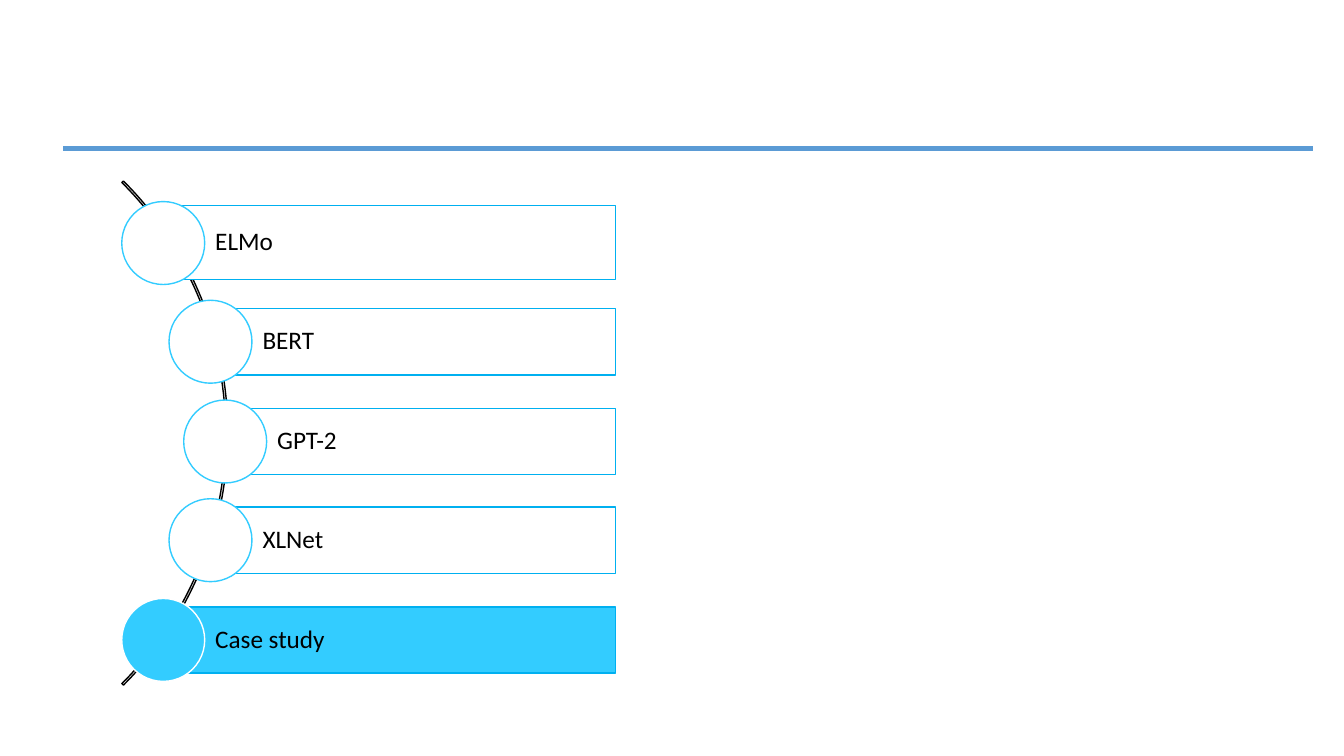
from dataclasses import dataclass
from typing import Optional

from pptx import Presentation
from pptx.dml.color import RGBColor
from pptx.enum.shapes import MSO_SHAPE
from pptx.enum.text import MSO_ANCHOR, PP_ALIGN
from pptx.shapes.autoshape import Shape
from pptx.shapes.shapetree import SlideShapes
from pptx.util import Pt

RECTANGLE = MSO_SHAPE.RECTANGLE
OVAL = MSO_SHAPE.OVAL
BLOCK_ARC = MSO_SHAPE.BLOCK_ARC
MIDDLE = MSO_ANCHOR.MIDDLE
LEFT = PP_ALIGN.LEFT

WHITE = RGBColor(0xFF, 0xFF, 0xFF)
BLACK = RGBColor(0x00, 0x00, 0x00)
RULE_BLUE = RGBColor(0x5B, 0x9B, 0xD5)
BAR_BLUE = RGBColor(0x00, 0xB0, 0xF0)
SKY = RGBColor(0x33, 0xCC, 0xFF)

EMU_PER_PX = 9525
SLIDE_WIDTH, SLIDE_HEIGHT = 1280, 720
BAR_RIGHT = 586
BULLET_SIZE = 79
FIRST_CENTER_Y = 231
FOUR_STEPS = 378
ARC_ADJUSTMENTS = (189, 27, 0.003)


@dataclass(frozen=True)
class Topic:
    title: str
    center_x: int
    bar_height: int = 63
    bar_fill: Optional[RGBColor] = None
    bullet_fill: RGBColor = WHITE
    bullet_line: RGBColor = SKY


TOPICS = (
    Topic("ELMo", 155, bar_height=70, bar_fill=WHITE),
    Topic("BERT", 200),
    Topic("GPT-2", 214),
    Topic("XLNet", 200),
    Topic("Case study", 155, bar_fill=SKY, bullet_fill=SKY, bullet_line=WHITE),
)


def px(length: int) -> int:
    return length * EMU_PER_PX


BAR_TEXT_FORMAT = {
    "word_wrap": True,
    "vertical_anchor": MIDDLE,
    "margin_left": px(50),
    "margin_top": px(5),
    "margin_right": px(5),
    "margin_bottom": px(5),
}
TITLE_FORMAT = {"name": "Calibri", "size": Pt(18)}


def add_outlined(shapes: SlideShapes, preset: MSO_SHAPE, left: int, top: int,
                 width: int, height: int, fill: Optional[RGBColor],
                 line: RGBColor) -> Shape:
    outlined = shapes.add_shape(preset, px(left), px(top), px(width), px(height))
    outlined.shadow.inherit = False
    if fill is None:
        outlined.fill.background()
    else:
        outlined.fill.solid()
        outlined.fill.fore_color.rgb = fill
    outlined.line.color.rgb = line
    outlined.line.width = Pt(1)
    return outlined


def add_arc(shapes: SlideShapes) -> None:
    arc = add_outlined(shapes, BLOCK_ARC, -462, 73, 679, 679, None, BLACK)
    for index, value in enumerate(ARC_ADJUSTMENTS):
        arc.adjustments[index] = value


def add_topic(shapes: SlideShapes, topic: Topic, center_y: int) -> None:
    bar = add_outlined(shapes, RECTANGLE, topic.center_x,
                       center_y - topic.bar_height // 2,
                       BAR_RIGHT - topic.center_x, topic.bar_height,
                       topic.bar_fill, BAR_BLUE)
    for attribute, value in BAR_TEXT_FORMAT.items():
        setattr(bar.text_frame, attribute, value)
    paragraph = bar.text_frame.paragraphs[0]
    paragraph.alignment = LEFT
    paragraph.line_spacing = 0.9
    title = paragraph.add_run()
    title.text = topic.title
    for attribute, value in TITLE_FORMAT.items():
        setattr(title.font, attribute, value)
    title.font.color.rgb = BLACK

    radius = BULLET_SIZE // 2
    add_outlined(shapes, OVAL, topic.center_x - radius, center_y - radius,
                 BULLET_SIZE, BULLET_SIZE, topic.bullet_fill, topic.bullet_line)


def main() -> None:
    presentation = Presentation()
    presentation.slide_width = px(SLIDE_WIDTH)
    presentation.slide_height = px(SLIDE_HEIGHT)
    shapes = presentation.slides.add_slide(presentation.slide_layouts[6]).shapes

    add_outlined(shapes, RECTANGLE, 59, 138, 1192, 7, RULE_BLUE, WHITE)
    add_arc(shapes)
    for index, topic in enumerate(TOPICS):
        add_topic(shapes, topic, FIRST_CENTER_Y + FOUR_STEPS * index // 4)

    presentation.save("out.pptx")


if __name__ == "__main__":
    main()
